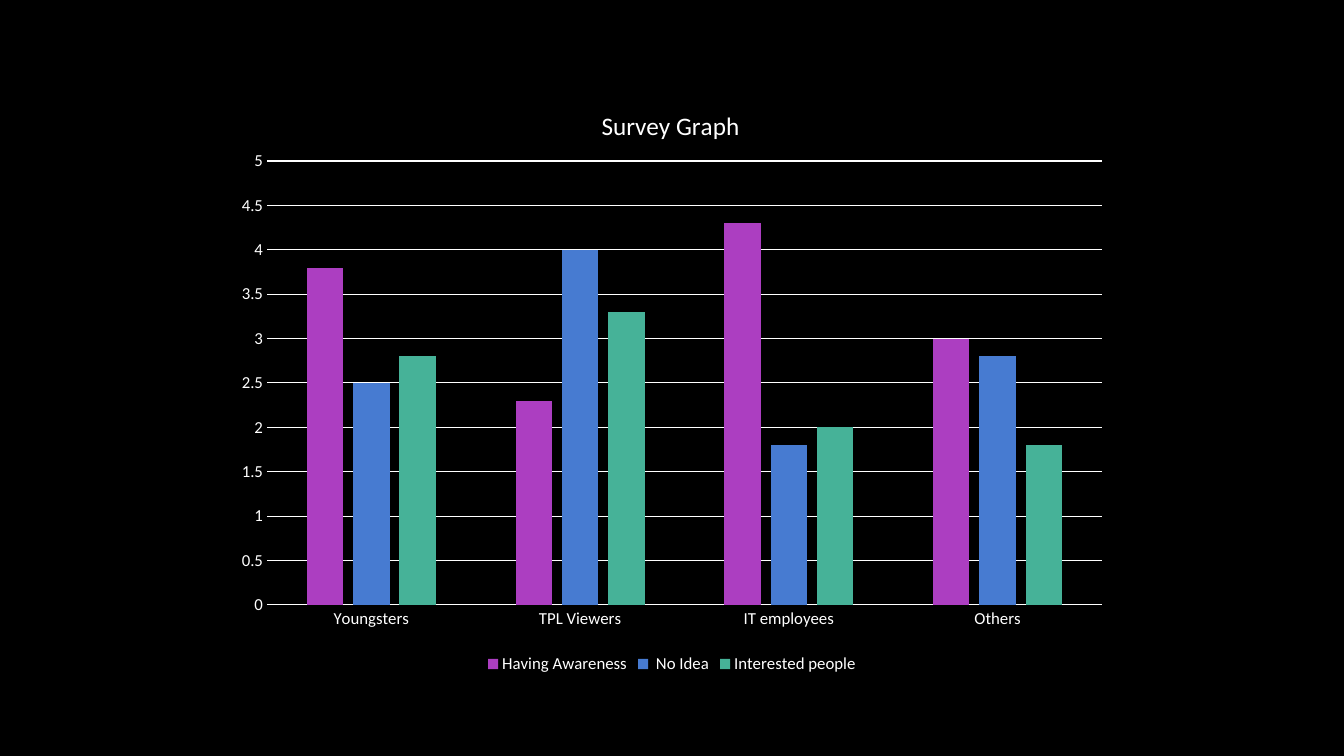
from lxml import etree
from pptx import Presentation
from pptx import util as u
from pptx.chart import data as chart_data
from pptx.dml import color
from pptx.enum import chart as charts
from pptx.oxml import ns

PX = 914400 / 100.8
FONT = "Calibri"
COLORS = {"background": "000000", "light": "FFFFFF", "aware": "AC3EC1", "no_idea": "477BD1", "interested": "46B298"}
FRAME = (224, 80, 896, 598)
GROUPS = ["Youngsters", "TPL Viewers", "IT employees", "Others"]
SURVEY = [
    ("Having Awareness", "aware", (3.8, 2.3, 4.3, 3)),
    (" No Idea", "no_idea", (2.5, 4, 1.8, 2.8)),
    ("Interested people", "interested", (2.8, 3.3, 2, 1.8)),
]


def px(length):
    """Turn pixels into EMU."""
    return u.Emu(round(length * PX))


def rgb(name):
    """Return a named colour."""
    return color.RGBColor.from_string(COLORS[name])


def style_font(font, size):
    """Apply the slide's light font."""
    font.name = FONT
    font.size = u.Pt(size)
    font.bold = False
    font.color.rgb = rgb("light")


def style_line(line):
    """Draw a thin light line."""
    line.color.rgb = rgb("light")
    line.width = u.Pt(0.75)


def place(parent, before, values):
    """Fix the position of a chart part, ahead of the named sibling tags."""
    for old in parent.findall(ns.qn("c:layout")):
        parent.remove(old)
    layout = etree.Element(ns.qn("c:layout"))
    manual = etree.SubElement(layout, ns.qn("c:manualLayout"))
    for tag, value in values.items():
        etree.SubElement(manual, ns.qn(f"c:{tag}")).set("val", str(value))
    following = next(child for child in parent if child.tag in map(ns.qn, before))
    following.addprevious(layout)


def fractions(left, top):
    """Express a slide position as fractions of the chart frame."""
    return {"xMode": "edge", "yMode": "edge",
            "x": round((left - FRAME[0]) / FRAME[2], 4), "y": round((top - FRAME[1]) / FRAME[3], 4)}


def add_title(chart, wording):
    """Add the chart title."""
    chart.has_title = True
    span = chart.chart_title.text_frame.paragraphs[0].add_run()
    span.text = wording
    style_font(span.font, 18)
    chart.chart_title.include_in_layout = False
    place(chart.chart_title._element, ["c:overlay"], fractions(597, 104))


def style_axes(chart):
    """Style both axes and the gridlines."""
    for axis in (chart.category_axis, chart.value_axis):
        axis.major_tick_mark = axis.minor_tick_mark = charts.XL_TICK_MARK.NONE
        style_font(axis.tick_labels.font, 12)
    style_line(chart.category_axis.format.line)
    values = chart.value_axis
    values.format.line.fill.background()
    values.has_major_gridlines = True
    style_line(values.major_gridlines.format.line)
    values.minimum_scale, values.maximum_scale, values.major_unit = 0, 5, 0.5
    values.tick_labels.number_format = "General"
    values.tick_labels.number_format_is_linked = False


def add_survey_chart(page):
    """Add the clustered column chart."""
    source = chart_data.CategoryChartData()
    source.categories = GROUPS
    for name, _, values in SURVEY:
        source.add_series(name, values)
    chart = page.shapes.add_chart(charts.XL_CHART_TYPE.COLUMN_CLUSTERED, *map(px, FRAME), source).chart
    style_font(chart.font, 10)
    add_title(chart, "Survey Graph")
    style_axes(chart)
    plot = chart.plots[0]
    plot.gap_width, plot.overlap, plot.vary_by_categories = 219, -27, False
    for series, (_, name, _) in zip(plot.series, SURVEY):
        series.format.fill.solid()
        series.format.fill.fore_color.rgb = rgb(name)
        series.invert_if_negative = False
    chart.has_legend = True
    chart.legend.position = charts.XL_LEGEND_POSITION.BOTTOM
    chart.legend.include_in_layout = False
    style_font(chart.legend.font, 12)
    area = chart._chartSpace.find(".//" + ns.qn("c:plotArea"))
    size = {"w": round(835 / FRAME[2], 4), "h": round(444 / FRAME[3], 4)}
    place(area, ["c:barChart"], {"layoutTarget": "inner", **fractions(267, 161), **size})


def main():
    """Build and save the deck."""
    deck = Presentation()
    deck.slide_width, deck.slide_height = px(1344), px(756)
    page = deck.slides.add_slide(deck.slide_layouts[6])
    page.background.fill.solid()
    page.background.fill.fore_color.rgb = rgb("background")
    add_survey_chart(page)
    deck.save("out.pptx")


if __name__ == "__main__":
    main()
